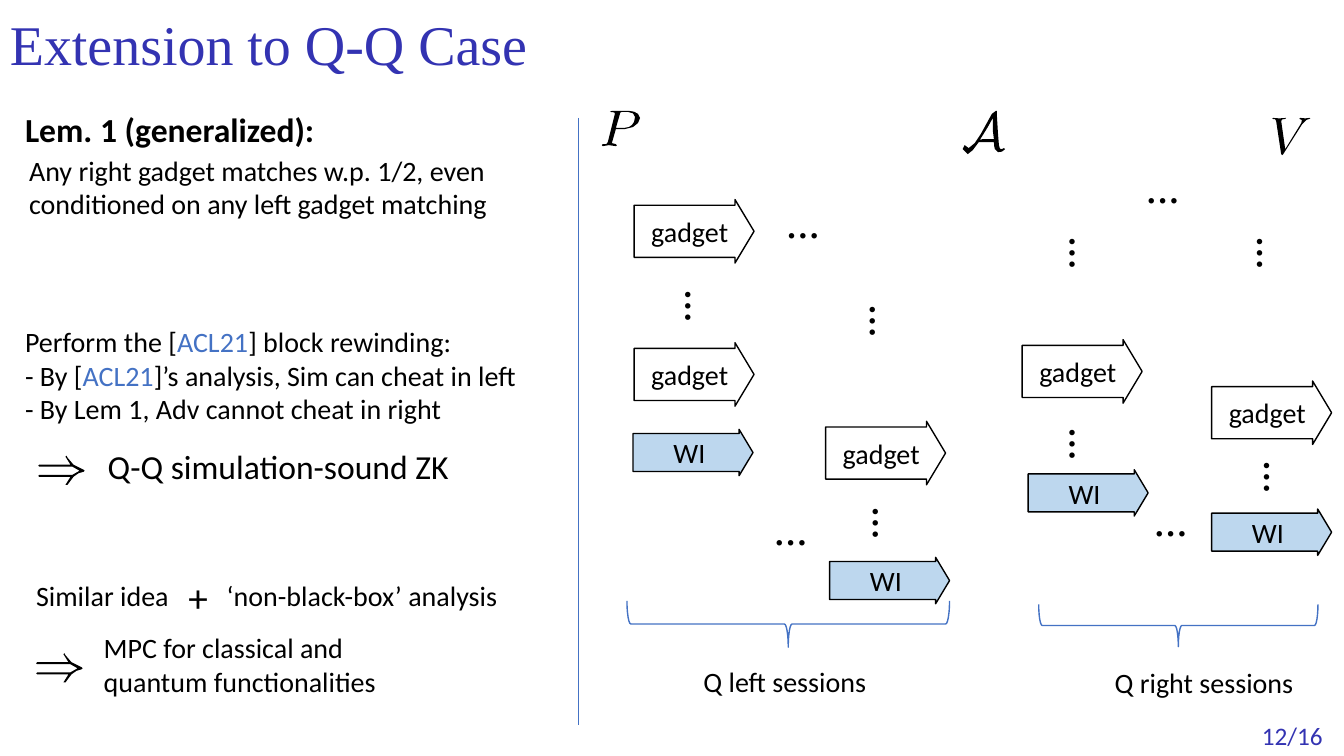
"""Build the "Extension to Q-Q Case" slide on a grid of 0.1-inch cells."""
from dataclasses import dataclass

from lxml import etree
from pptx import Presentation
from pptx.dml.color import RGBColor
from pptx.enum.shapes import MSO_CONNECTOR, MSO_SHAPE
from pptx.enum.text import MSO_ANCHOR
from pptx.oxml.ns import qn
from pptx.util import Emu, Pt

ARROW, BRACE = MSO_SHAPE.RIGHT_ARROW, MSO_SHAPE.LEFT_BRACE
STRAIGHT = MSO_CONNECTOR.STRAIGHT
TOP, MIDDLE = MSO_ANCHOR.TOP, MSO_ANCHOR.MIDDLE
CELL = 91440
COLS, ROWS = 133.33, 75
BLACK, BLUE, INDIGO, PALE = "000000", "4472C4", "3333B2", "BDD7EE"
SANS, SERIF = "Calibri", "Times New Roman"


@dataclass(frozen=True)
class Span:
    """A stretch of text in one colour."""
    text: str
    color: str = BLACK


@dataclass(frozen=True)
class Label:
    """A text box; each paragraph is a tuple of spans."""
    col: float
    row: float
    cols: float
    rows: float
    paragraphs: tuple[tuple[Span, ...], ...]
    size: int = 20
    font: str = SANS
    bold: bool = False
    rotation: int = 0
    anchor: MSO_ANCHOR = TOP
    spacing: float = 1.0


@dataclass(frozen=True)
class Step:
    """Look of one kind of protocol message."""
    text: str
    rows: float
    indent: float
    fill: str | None
    places: tuple[tuple[float, float], ...]


@dataclass(frozen=True)
class Symbol:
    """A drawn math symbol; outline points are in tenths of a cell."""
    contours: tuple[tuple[tuple[float, float], ...], ...]
    places: tuple[tuple[float, float], ...]


def line_of(text: str, color: str = BLACK) -> tuple[tuple[Span, ...], ...]:
    """Return one paragraph holding one span."""
    return ((Span(text, color),),)


CITATION = Span("ACL21", BLUE)
LABELS = [
    Label(0, 0, 115, 9.4, line_of("Extension to Q-Q Case", INDIGO), 40, SERIF,
          anchor=MIDDLE, spacing=0.9),
    Label(124.2, 71, 9.2, 4, line_of("12/16", INDIGO), 18),
    Label(1.5, 10.3, 47.8, 5, line_of("Lem. 1 (generalized):"), 24, bold=True),
    Label(1.9, 14.7, 51.7, 7.7, line_of(
        "Any right gadget matches w.p. 1/2, even conditioned on any left gadget matching")),
    Label(1.5, 31.7, 51.7, 11.1, (
        (Span("Perform the ["), CITATION, Span("] block rewinding:")),
        (Span("- By ["), CITATION, Span("]’s analysis, Sim can cheat in left")),
        (Span("- By Lem 1, Adv cannot cheat in right"),))),
    Label(9.7, 43.7, 42.2, 5, line_of("Q-Q simulation-sound ZK"), 24),
    Label(2.6, 56.9, 16.4, 4.4, line_of("Similar idea")),
    Label(17.7, 56.4, 6.7, 5.7, line_of("+"), 28),
    Label(21.5, 56.9, 31.5, 4.4, line_of("‘non-black-box’ analysis")),
    Label(9.3, 62.1, 30.1, 7.7, line_of("MPC for classical and quantum functionalities")),
    Label(68.8, 65.4, 21.1, 4.4, line_of("Q left sessions")),
    Label(109.6, 65.5, 21.1, 4.4, line_of("Q right sessions")),
]
DOTS = {
    0: [(77, 19.8), (75.8, 50.3), (113.5, 49.4), (112.7, 16.4)],
    90: [(66.2, 28.4), (84.8, 49.9), (84.5, 29.9), (104.3, 23.1),
         (104.3, 42.1), (123.6, 45.4), (122.9, 23.1)],
}
STEPS = [
    Step("gadget", 6.3, 1.7, None,
         ((62.9, 19.8), (62.9, 34), (81.9, 41.8), (101.4, 33.7), (120.2, 37.8))),
    Step("WI", 4.6, 4, PALE,
         ((62.8, 42.6), (82.3, 55.3), (102, 46.6), (120.2, 50.5))),
]
BRACES = [(75.9, 45.9, 4.6, 32), (114.8, 48.2, 4.2, 27.7)]
SYMBOLS = [
    Symbol((((34, 11), (41, 15), (34, 19), (1, 19), (0, 20), (1, 21), (32, 21), (27, 29),
             (29, 29), (35, 21), (40, 17.5), (45, 16), (46, 15), (45, 14), (35, 9),
             (29, 2), (28, 0), (27, 1), (32, 9), (1, 9), (0, 10), (1, 11)),),
           ((3.8, 45.2), (3.6, 64.8))),
    Symbol((((14, 18), (23, 18), (31, 16), (36, 12), (38, 7), (36, 3), (32, 0.8), (27, 0),
             (10, 0), (8, 1), (12.5, 1.5), (13, 3), (6, 31), (4.5, 33), (1, 33), (0, 34),
             (1, 35), (7, 34), (14, 35), (15, 34), (14, 33), (10, 32)),
            ((18, 3), (18.5, 1.5), (20, 1), (26, 1), (31, 2.5), (33, 6), (32, 11),
             (30, 14), (27, 16), (22, 17), (14, 17))),
           ((59.7, 11),)),
    Symbol((((31, 31), (31.3, 35), (32, 38), (35, 41), (39, 40.5), (42, 38), (41, 37),
             (39, 38), (37, 37.5), (36, 34), (35, 22), (34, 5), (34, 0), (33, 0), (29, 3),
             (18, 23), (12, 32), (6, 37), (2, 34), (0, 38), (5, 43), (10, 39), (16, 31)),
            ((30, 7), (30, 20), (31, 28), (20, 28), (17, 29), (25, 16))),
           ((95.5, 11),)),
    Symbol((((30, 6), (34, 2), (37, 1), (38, 0.5), (37, 0), (33, 0.5), (28, 0), (27, 1),
             (29.5, 2), (29, 5), (13, 31), (9, 3), (10, 1.5), (13, 1), (14, 0), (7, 0.5),
             (1, 0), (0, 1), (3, 1.3), (4, 3), (9, 36), (10, 37), (11, 36)),),
           ((126.2, 11.7),)),
]


def cells(*counts: float) -> list[Emu]:
    """Turn counts of grid cells into lengths."""
    return [Emu(round(n * CELL)) for n in counts]


def rgb(color: str) -> RGBColor:
    """Turn a hex string into a colour."""
    return RGBColor.from_string(color)


def paint(sp, fill: str | None, line: str | None) -> None:
    """Set fill and outline and drop the shadow."""
    sp.shadow.inherit = False
    if fill:
        sp.fill.solid()
        sp.fill.fore_color.rgb = rgb(fill)
    else:
        sp.fill.background()
    if line:
        sp.line.color.rgb = rgb(line)
        sp.line.width = Pt(1)
    else:
        sp.line.fill.background()


def write(p, spans: tuple[Span, ...], size: int, font: str, bold: bool) -> None:
    """Add the spans to a paragraph run by run."""
    for span in spans:
        r = p.add_run()
        r.text = span.text
        r.font.size, r.font.name, r.font.bold = Pt(size), font, bold
        r.font.color.rgb = rgb(span.color)


def add_label(s, label: Label) -> None:
    """Draw a text box."""
    sp = s.shapes.add_textbox(*cells(label.col, label.row, label.cols, label.rows))
    sp.rotation = label.rotation
    tf = sp.text_frame
    tf.word_wrap, tf.vertical_anchor = True, label.anchor
    for i, spans in enumerate(label.paragraphs):
        p = tf.add_paragraph() if i else tf.paragraphs[0]
        p.line_spacing = label.spacing
        write(p, spans, label.size, label.font, label.bold)


def add_step(s, step: Step, col: float, row: float) -> None:
    """Draw a message arrow with its text."""
    sp = s.shapes.add_shape(ARROW, *cells(col, row, 11.9, step.rows))
    sp.adjustments[0], sp.adjustments[1] = 0.82, 0.3
    paint(sp, step.fill, BLACK)
    tf = sp.text_frame
    tf.word_wrap, tf.vertical_anchor = True, MIDDLE
    tf.margin_left, tf.margin_top, tf.margin_right, tf.margin_bottom = cells(
        step.indent, 0, 0, 0)
    p = tf.paragraphs[0]
    p.alignment = 1
    write(p, (Span(step.text),), 20, SANS, False)


def add_symbol(s, symbol: Symbol, col: float, row: float) -> None:
    """Draw a math symbol as a filled outline."""
    contours = [[(x * 10, y * 10) for x, y in c] for c in symbol.contours]
    pen = s.shapes.build_freeform(*contours[0][0], scale=CELL / 100)
    pen.add_line_segments(contours[0][1:], close=True)
    for contour in contours[1:]:
        pen.move_to(*contour[0])
        pen.add_line_segments(contour[1:], close=True)
    paint(pen.convert_to_shape(*cells(col, row)), BLACK, None)


def add_divider(s) -> None:
    """Draw the rule between the text and the diagram."""
    sp = s.shapes.add_connector(STRAIGHT, *cells(57.4, 11.7, 57.4, 71.9))
    sp.line.color.rgb, sp.line.width = rgb(BLUE), Pt(0.5)
    etree.SubElement(sp._element.spPr, qn("a:effectLst"))


def main() -> None:
    """Build and save the slide."""
    prs = Presentation()
    prs.slide_width, prs.slide_height = cells(COLS, ROWS)
    s = prs.slides.add_slide(prs.slide_layouts[6])
    add_divider(s)
    for brace in BRACES:
        sp = s.shapes.add_shape(BRACE, *cells(*brace))
        sp.rotation = 270
        paint(sp, None, BLUE)
    for step in STEPS:
        for place in step.places:
            add_step(s, step, *place)
    for symbol in SYMBOLS:
        for place in symbol.places:
            add_symbol(s, symbol, *place)
    dots = [Label(*place, 6.3, 5, line_of("…"), 24, SERIF, True, rotation)
            for rotation, places in DOTS.items() for place in places]
    for label in LABELS + dots:
        add_label(s, label)
    prs.save("out.pptx")


if __name__ == "__main__":
    main()
